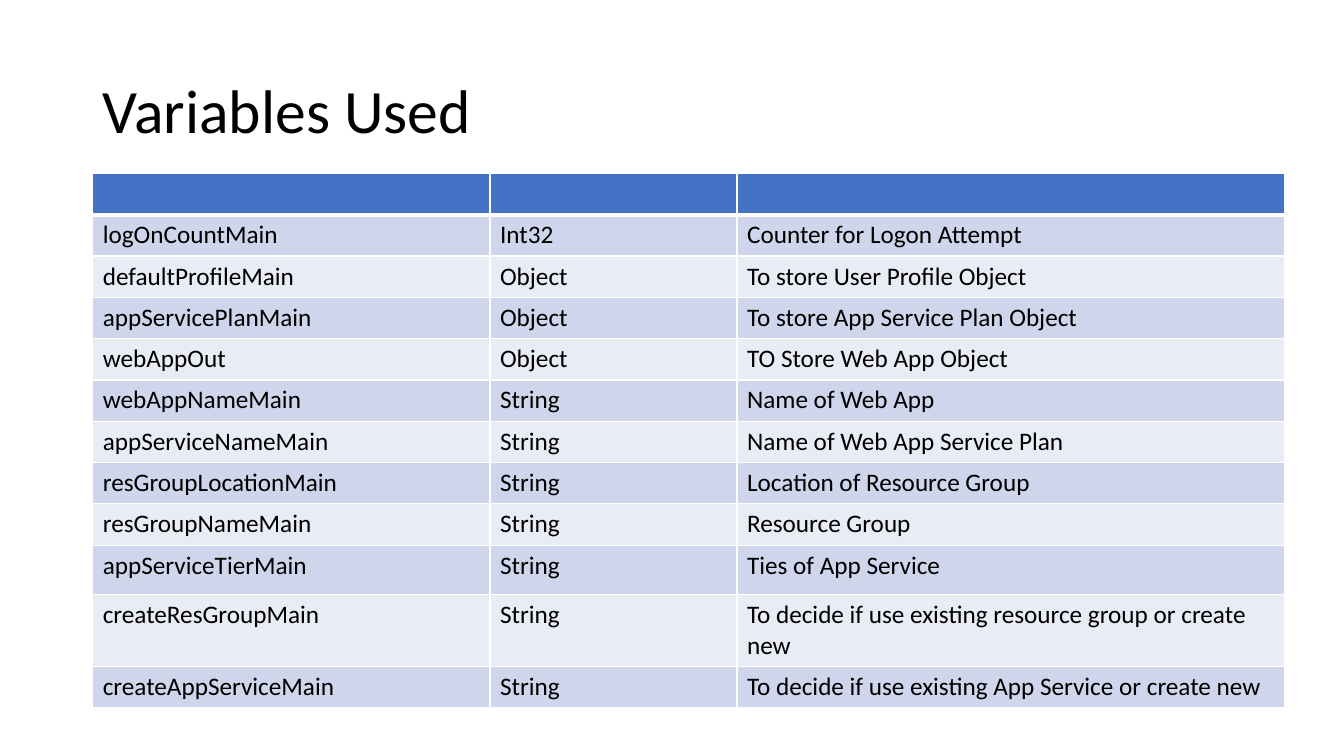
from lxml.etree import SubElement as Sub
from pptx import Presentation
from pptx.dml.color import RGBColor as RGB
from pptx.enum.text import MSO_ANCHOR as Anchor, PP_ALIGN as Align
from pptx.oxml.ns import qn
from pptx.util import Inches, Pt

WIDE, HIGH = 13.33, 7.5
INK, WHITE, HEAD = "000000", "FFFFFF", "4472C4"
BANDS = ["CFD5EA", "E9EBF5"]
COLS = [3.94, 2.45, 5.43]
ROW, TALL = 0.41, 0.49
ROWS = [
    ("", "", ""),
    ("logOnCountMain", "Int32", "Counter for Logon Attempt"),
    ("defaultProfileMain", "Object", "To store User Profile Object"),
    ("appServicePlanMain", "Object", "To store App Service Plan Object"),
    ("webAppOut", "Object", "TO Store Web App Object"),
    ("webAppNameMain", "String", "Name of Web App"),
    ("appServiceNameMain", "String", "Name of Web App Service Plan"),
    ("resGroupLocationMain", "String", "Location of Resource Group"),
    ("resGroupNameMain", "String", "Resource Group"),
    ("appServiceTierMain", "String", "Ties of App Service"),
    ("createResGroupMain", "String",
     "To decide if use existing resource group or create new"),
    ("createAppServiceMain", "String",
     "To decide if use existing App Service or create new"),
]


def color(code):
    return RGB.from_string(code)


def style(para, size):
    look = {"name": "Calibri", "size": Pt(size), "bold": False}
    for key, value in look.items():
        setattr(para.font, key, value)
    para.font.color.rgb = color(INK)


def border(cell, row):
    """Draw white edges, with a heavy rule under the header row."""
    props = cell._tc.get_or_add_tcPr()
    widths = {"L": 1, "R": 1, "T": 3 if row == 1 else 1,
              "B": 3 if row == 0 else 1}
    for side, width in widths.items():
        line = Sub(props, qn(f"a:ln{side}"), w=str(Pt(width)))
        Sub(Sub(line, qn("a:solidFill")), qn("a:srgbClr"), val=WHITE)


def add_title(slide, text, box):
    title = slide.shapes.title
    for key, value in zip(("left", "top", "width", "height"), box):
        setattr(title, key, Inches(value))
    frame = title.text_frame
    frame.text = text
    frame.word_wrap = True
    frame.vertical_anchor = Anchor.MIDDLE
    para = frame.paragraphs[0]
    para.alignment = Align.LEFT
    para.line_spacing = 0.9
    style(para, 44)


def add_grid(slide, rows, box):
    grid = slide.shapes.add_table(
        len(rows), len(COLS), *map(Inches, box)).table
    for col, width in zip(grid.columns, COLS):
        col.width = Inches(width)
    for r, words in enumerate(rows):
        # The tier row is a little taller than the rest
        grid.rows[r].height = Inches(TALL if r == 9 else ROW)
        for c, word in enumerate(words):
            cell = grid.cell(r, c)
            border(cell, r)
            cell.fill.solid()
            cell.fill.fore_color.rgb = color(
                BANDS[(r - 1) % 2] if r else HEAD)
            cell.text = word
            style(cell.text_frame.paragraphs[0], 18)


def main():
    deck = Presentation()
    deck.slide_width, deck.slide_height = Inches(WIDE), Inches(HIGH)
    slide = deck.slides.add_slide(deck.slide_layouts[5])
    left = 0.92
    add_title(slide, "Variables Used", (left, 0.4, 11.5, 1.45))
    tall = ROW * (len(ROWS) - 1) + TALL
    add_grid(slide, ROWS, (left, 1.72, sum(COLS), tall))
    deck.save("out.pptx")


if __name__ == "__main__":
    main()
